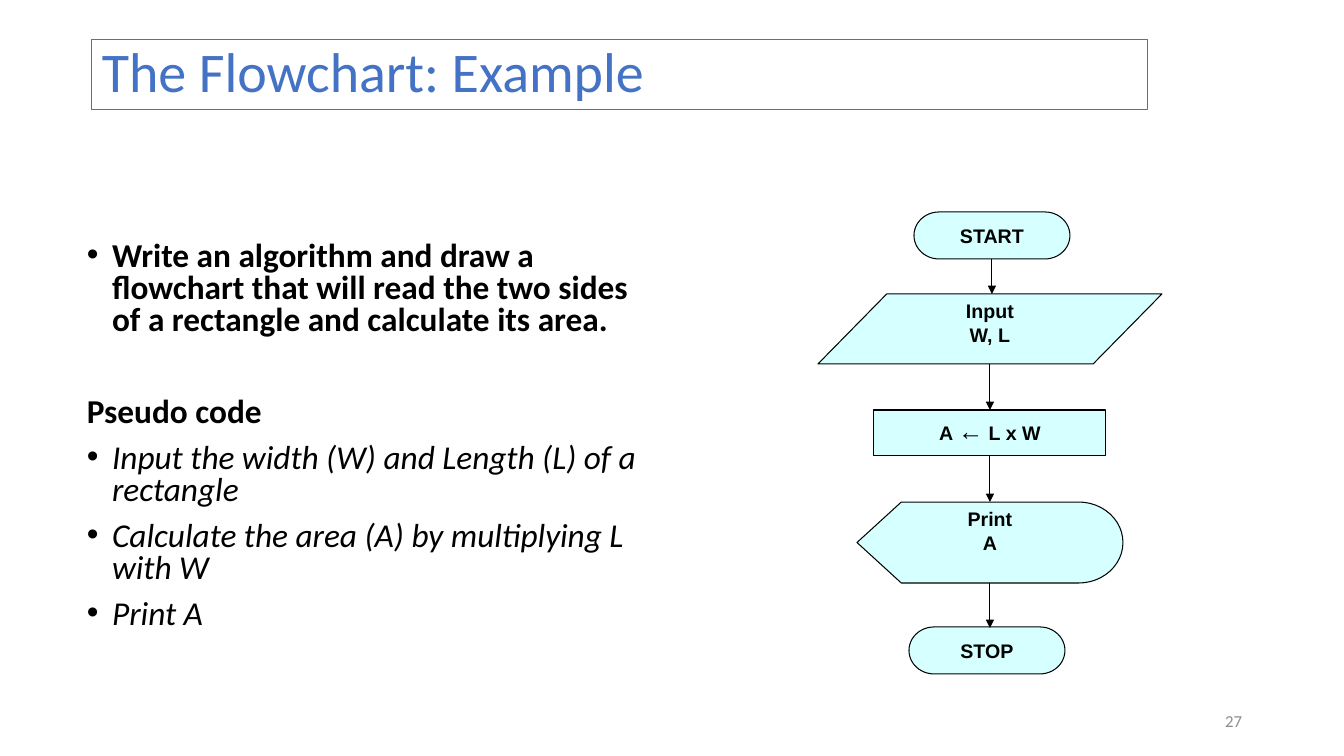
from pptx import Presentation
from pptx.dml.color import RGBColor
from pptx.enum.shapes import MSO_CONNECTOR, MSO_SHAPE
from pptx.enum.text import MSO_ANCHOR, PP_ALIGN
from pptx.oxml.ns import qn
from pptx.util import Emu, Pt
from lxml import etree

BLUE = RGBColor(0x44, 0x72, 0xC4)
GREY = RGBColor(0x8C, 0x8C, 0x8C)
BLACK = RGBColor(0, 0, 0)
AQUA = RGBColor(0xCC, 0xFF, 0xFF)
STRAIGHT = MSO_CONNECTOR.STRAIGHT
RECT = MSO_SHAPE.RECTANGLE
TERMINATOR = MSO_SHAPE.FLOWCHART_TERMINATOR
DATA = MSO_SHAPE.FLOWCHART_DATA
PROCESS = MSO_SHAPE.FLOWCHART_PROCESS
DISPLAY = MSO_SHAPE.FLOWCHART_DISPLAY
TOP, MIDDLE, BOTTOM = MSO_ANCHOR.TOP, MSO_ANCHOR.MIDDLE, MSO_ANCHOR.BOTTOM
LEFT, CENTER, RIGHT = PP_ALIGN.LEFT, PP_ALIGN.CENTER, PP_ALIGN.RIGHT
TOP_SIDE, BOTTOM_SIDE = 0, 2
PX_PER_INCH = 100.8


def px(n):
    return Emu(round(n * 914400 / PX_PER_INCH))


def apply(target, values):
    for name, value in values.items():
        setattr(target, name, value)


class FlowSlide:
    title_font = {"name": "Calibri", "size": Pt(40)}
    number_font = {"name": "Calibri", "size": Pt(12)}
    body_font = {"name": "Calibri", "size": Pt(23.8)}
    step_font = {"name": "Arial", "size": Pt(14), "bold": True}
    assign_font = {"name": "Arial", "size": Pt(18), "bold": False}

    def __init__(self, prs):
        self.s = prs.slides.add_slide(prs.slide_layouts[6])
        self.chart = None

    def start_chart(self):
        self.chart = self.s.shapes.add_group_shape()

    def run(self, p, text, font, color):
        r = p.add_run()
        r.text = text
        apply(r.font, font)
        r.font.color.rgb = color

    def frame(self, sp, anchor):
        tf = sp.text_frame
        apply(tf, {"word_wrap": True, "vertical_anchor": anchor})
        return tf

    def outline(self, sp, color):
        sp.shadow.inherit = False
        sp.line.color.rgb = color
        sp.line.width = Pt(0.75)

    def title(self, box, text):
        sp = self.s.shapes.add_shape(RECT, *map(px, box))
        sp.fill.background()
        self.outline(sp, BLUE)
        p = self.frame(sp, BOTTOM).paragraphs[0]
        apply(p, {"alignment": LEFT, "line_spacing": 0.9})
        self.run(p, text, self.title_font, BLUE)

    def number(self, box, text):
        sp = self.s.shapes.add_textbox(*map(px, box))
        p = self.frame(sp, MIDDLE).paragraphs[0]
        p.alignment = RIGHT
        self.run(p, text, self.number_font, GREY)

    def body(self, box, items):
        sp = self.s.shapes.add_textbox(*map(px, box))
        tf = self.frame(sp, TOP)
        for i, (text, before, bullet, style) in enumerate(items):
            p = tf.add_paragraph() if i else tf.paragraphs[0]
            pPr = p._p.get_or_add_pPr()
            pPr.set("marL", "228600")
            pPr.set("indent", "-228600")
            if bullet:
                etree.SubElement(pPr, qn("a:buFont")).set("typeface", "Arial")
                etree.SubElement(pPr, qn("a:buChar")).set("char", "•")
            else:
                etree.SubElement(pPr, qn("a:buNone"))
            apply(p, {"line_spacing": 0.8, "space_before": Pt(before)})
            self.run(p, text, {**self.body_font, **style}, BLACK)

    def step(self, kind, box, *lines):
        sp = self.chart.shapes.add_shape(kind, *map(px, box))
        sp.fill.solid()
        sp.fill.fore_color.rgb = AQUA
        rgb = sp._element.spPr.find(qn("a:solidFill")).find(qn("a:srgbClr"))
        etree.SubElement(rgb, qn("a:alpha")).set("val", "80000")
        self.outline(sp, BLACK)
        tf = self.frame(sp, TOP)
        for i, runs in enumerate(lines):
            p = tf.add_paragraph() if i else tf.paragraphs[0]
            p.alignment = CENTER
            for text in runs:
                font = self.assign_font if text == "←" else self.step_font
                self.run(p, text, font, BLACK)
        return sp

    def arrow(self, x, top, bottom, begin=None, end=None):
        c = self.chart.shapes.add_connector(STRAIGHT, *map(px, (x, top, x, bottom)))
        if begin is not None:
            c.begin_connect(begin, BOTTOM_SIDE)
        if end is not None:
            c.end_connect(end, TOP_SIDE)
        c.line.color.rgb = BLACK
        c.line.width = Pt(0.75)
        ln = c.line._get_or_add_ln()
        etree.SubElement(ln, qn("a:tailEnd")).set("type", "triangle")
        etree.SubElement(c._element.spPr, qn("a:effectLst"))


def main():
    prs = Presentation()
    prs.slide_width, prs.slide_height = px(1344), px(756)
    slide = FlowSlide(prs)
    slide.title((92, 40, 1056, 70), "The Flowchart: Example")
    slide.number((950, 701, 302, 40), "27")
    bold, italic = {"bold": True}, {"italic": True}
    slide.body((77, 237, 576, 408), [
        ("Write an algorithm and draw a flowchart that will read the two sides "
         "of a rectangle and calculate its area.", 0, True, bold),
        ("Pseudo code", 43, False, bold),
        ("Input the width (W) and Length (L) of a rectangle", 10, True, italic),
        ("Calculate the area (A) by multiplying L with W", 10, True, italic),
        ("Print A", 10, True, italic),
    ])

    slide.start_chart()
    start = slide.step(TERMINATOR, (914, 212, 156, 47), ["START"])
    slide.step(DATA, (818, 294, 344, 70), ["Input"], ["W, L"])
    area = slide.step(PROCESS, (874, 410, 232, 46), ["A ", "←", " L x W"])
    output = slide.step(DISPLAY, (857, 502, 266, 81), ["Print"], ["A"])
    slide.step(TERMINATOR, (909, 627, 156, 47), ["STOP"])
    slide.arrow(992, 259, 294, begin=start)
    slide.arrow(990, 364, 410, end=area)
    slide.arrow(990, 456, 502, begin=area, end=output)
    slide.arrow(990, 583, 628, begin=output)
    prs.save("out.pptx")


if __name__ == "__main__":
    main()
